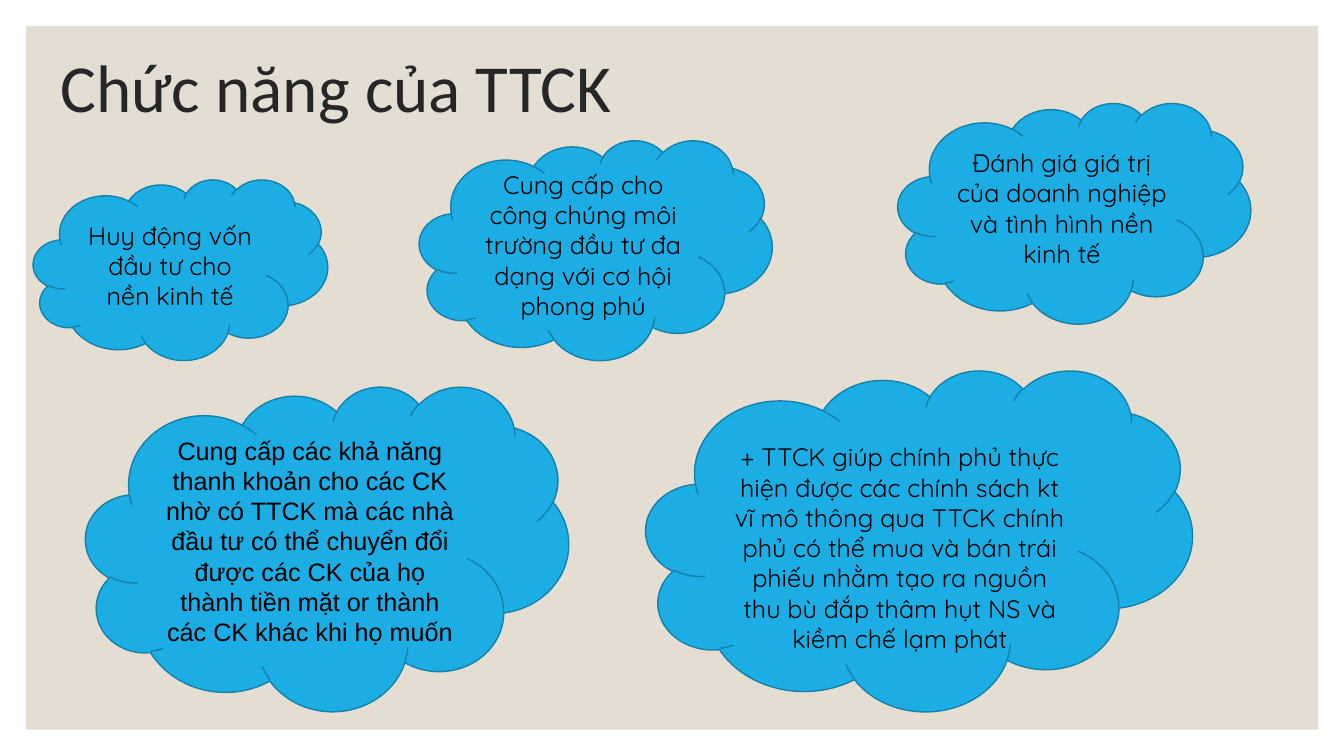
from pptx import Presentation
from pptx.dml.color import RGBColor
from pptx.enum import shapes, text
from pptx.util import Cm, Pt

SAND = RGBColor(0xE3, 0xDE, 0xD1)
SKY = RGBColor(0x1C, 0xAD, 0xE4)
SKY_DARK = RGBColor(0x15, 0x80, 0xA9)
CHARCOAL = RGBColor(0x26, 0x26, 0x26)
BLACK = RGBColor(0, 0, 0)

TITLE_ONLY = 5
BLANK_LINE = Cm(0.76)

# left, top, width, height in cm; wording; format values that differ
CLOUDS = [
    ((0.84, 4.52, 7.42, 4.55), "Huy động vốn đầu tư cho nền kinh tế", {}),
    ((10.57, 3.53, 8.89, 5.54),
     "Cung cấp cho công chúng môi trường đầu tư đa dạng với cơ hội phong phú", {}),
    ((2.16, 9.73, 12.17, 8.18),
     "Cung cấp các khả năng thanh khoản cho các CK nhờ có TTCK mà các nhà đầu tư "
     "có thể chuyển đổi được các CK của họ thành tiền mặt or thành các CK khác "
     "khi họ muốn", {"font": "Arial"}),
    ((22.63, 2.59, 8.89, 5.56),
     "Đánh giá giá trị của doanh nghiệp và tình hình nền kinh tế", {}),
    ((16.28, 9.32, 13.77, 8.59),
     "+ TTCK giúp chính phủ thực hiện được các chính sách kt vĩ mô thông qua TTCK "
     "chính phủ có thể mua và bán trái phiếu nhằm tạo ra nguồn thu bù đắp thâm hụt "
     "NS và kiềm chế lạm phát", {"extra_top": BLANK_LINE}),
]


def apply(target, values):
    """Set each named attribute of target."""
    for name, value in values.items():
        setattr(target, name, value)


class SlideBuilder:
    def __init__(self, prs):
        self.s = prs.slides.add_slide(prs.slide_layouts[TITLE_ONLY])
        self.frame = {
            "word_wrap": True,
            "auto_size": text.MSO_AUTO_SIZE.NONE,
            "vertical_anchor": text.MSO_ANCHOR.MIDDLE,
        }

    def shape(self, kind, box, fill, line=None):
        sp = self.s.shapes.add_shape(kind, *map(Cm, box))
        sp.shadow.inherit = False
        sp.fill.solid()
        sp.fill.fore_color.rgb = fill
        if line is None:
            sp.line.fill.background()
        else:
            sp.line.color.rgb = line
            sp.line.width = Pt(1)
        return sp

    def set_text(self, sp, wording, font, size, color, paragraph):
        tf = sp.text_frame
        apply(tf, self.frame)
        p = tf.paragraphs[0]
        apply(p, paragraph)
        r = p.add_run()
        r.text = wording
        apply(r.font, {"name": font, "size": Pt(size)})
        r.font.color.rgb = color

    def title(self, box, wording):
        sp = self.s.shapes.title
        apply(sp, dict(zip(("left", "top", "width", "height"), map(Cm, box))))
        self.set_text(sp, wording, "Calibri", 48, CHARCOAL,
                      {"alignment": text.PP_ALIGN.LEFT, "line_spacing": 0.9})

    def panel(self, box):
        """Add the backdrop behind the title."""
        sp = self.shape(shapes.MSO_SHAPE.RECTANGLE, box, SAND)
        self.s.shapes.title.element.addprevious(sp.element)

    def cloud(self, box, wording, font="Quicksand", extra_top=0):
        sp = self.shape(shapes.MSO_SHAPE.CLOUD, box, SKY, SKY_DARK)
        self.set_text(sp, wording, font, 18, BLACK,
                      {"alignment": text.PP_ALIGN.CENTER})
        sp.text_frame.margin_top += extra_top


def main():
    prs = Presentation()
    apply(prs, {"slide_width": Cm(33.87), "slide_height": Cm(19.05)})
    slide = SlideBuilder(prs)
    slide.panel((0.66, 0.66, 32.56, 17.73))
    slide.title((1.27, 0.38, 27.94, 3.81), "Chức năng của TTCK")
    for box, wording, options in CLOUDS:
        slide.cloud(box, wording, **options)
    prs.save("out.pptx")


if __name__ == "__main__":
    main()
